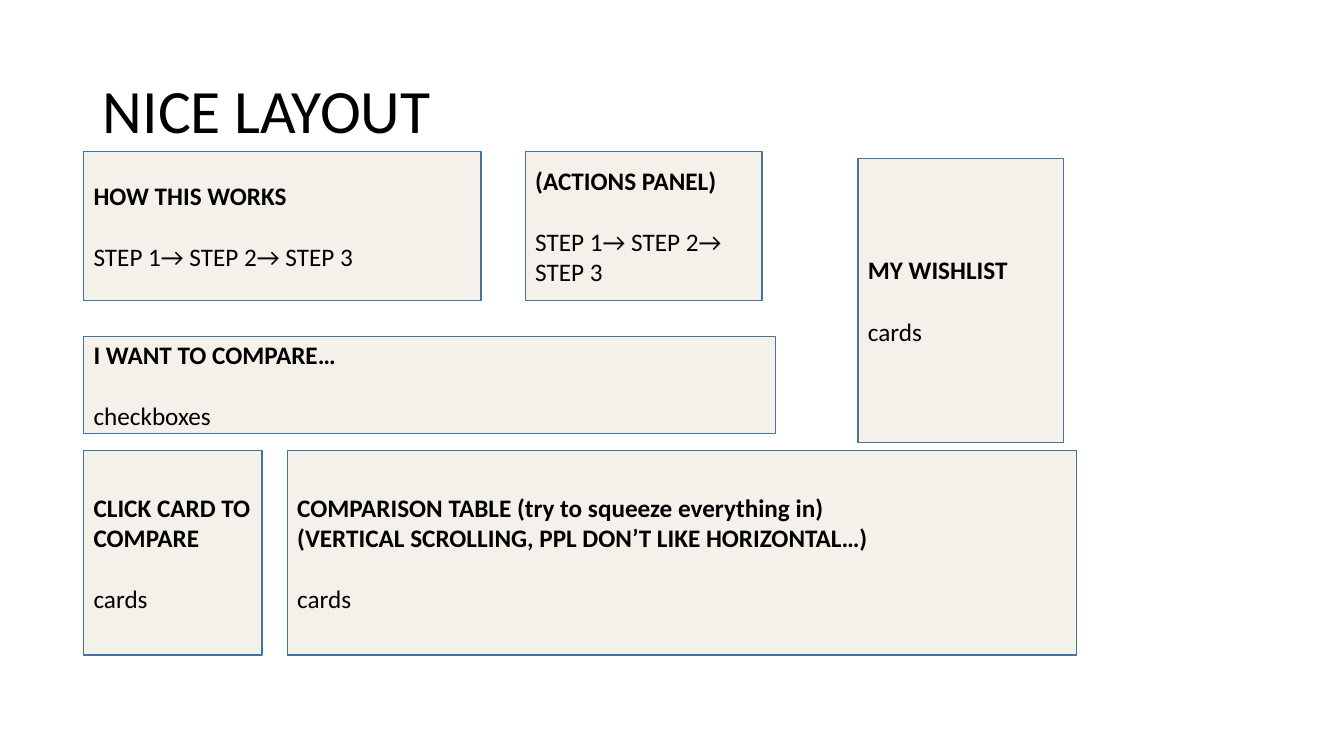
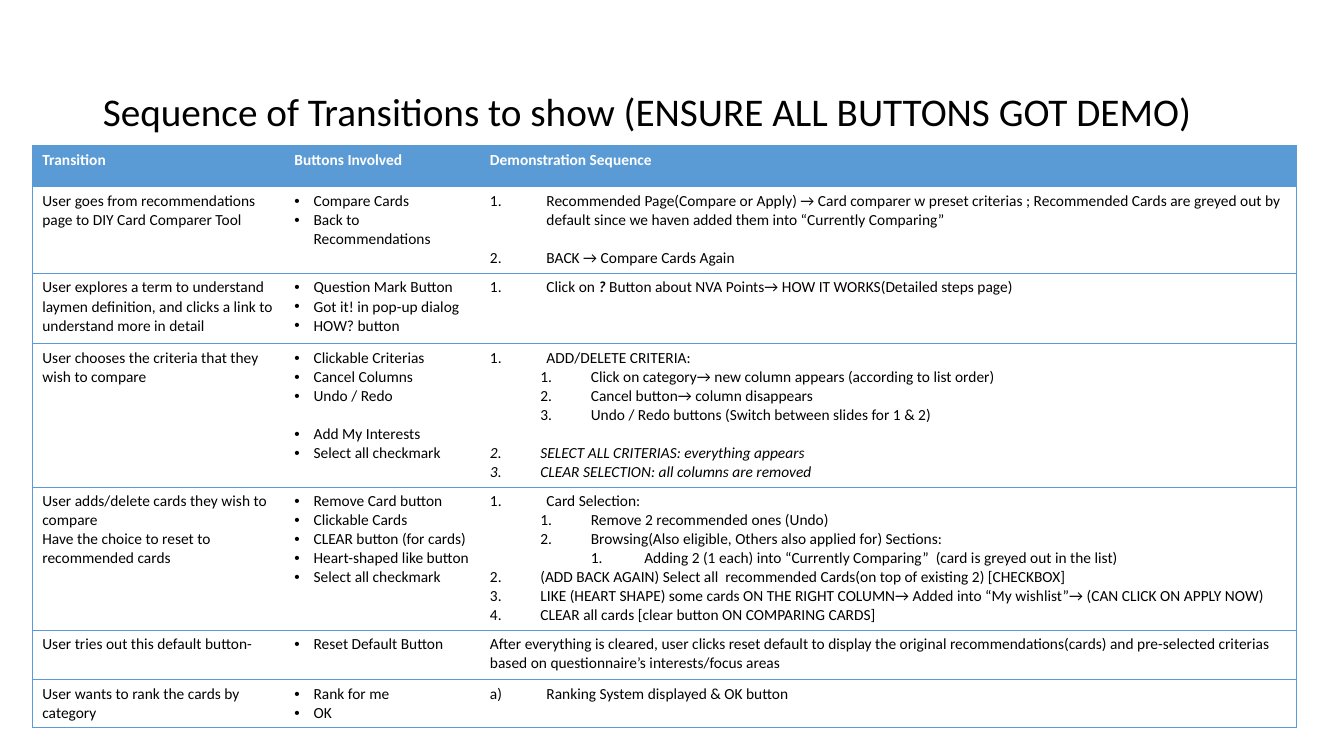
import pptx
import pptx.dml.color
import pptx.enum.shapes
import pptx.enum.text
import pptx.oxml
import pptx.oxml.ns
import pptx.util

Inches, Pt = pptx.util.Inches, pptx.util.Pt
ALIGN = pptx.enum.text.PP_ALIGN
MIDDLE = pptx.enum.text.MSO_ANCHOR.MIDDLE

FONT = "Calibri"
BLACK, WHITE = "000000", "FFFFFF"
CREAM, EDGE, BLUE = "F4F0EA", "43739E", "5B9BD5"
LINE = 1.22  # line height of the font, relative to its size

# Paragraph kinds in the table: level, left margin, hanging indent, marker
NUMBER = 'buAutoNum type="arabicPeriod"'
KINDS = {
    "plain": (0, 0, 0, None),
    "dot": (0, 0.19, 0.19, 'buChar char="•"'),
    "num": (0, 0.56, 0.56, NUMBER),
    "sub": (1, 1, 0.5, NUMBER),
    "deep": (2, 1.53, 0.53, NUMBER),
    "next": (0, 0.5, 0.5, NUMBER),
    "slant": (0, 0.5, 0.5, NUMBER),
    "letter": (0, 0.56, 0.56, 'buAutoNum type="alphaLcParenR"'),
}

# Wireframe boxes: left, top, width, height, bold lines, plain line
STEPS = "STEP 1→ STEP 2→ STEP 3"
BOXES = [
    (0.83, 1.5, 3.94, 1.48, ["HOW THIS WORKS"], STEPS),
    (5.21, 1.5, 2.35, 1.48, ["(ACTIONS PANEL)"], STEPS),
    (0.83, 3.34, 6.86, 0.96, ["I WANT TO COMPARE…"], "checkboxes"),
    (0.83, 4.47, 1.77, 2.03, ["CLICK CARD TO COMPARE"], "cards"),
    (2.85, 4.47, 7.83, 2.03,
     ["COMPARISON TABLE (try to squeeze everything in)",
      "(VERTICAL SCROLLING, PPL DON’T LIKE HORIZONTAL…)"], "cards"),
    (8.51, 1.57, 2.04, 2.82, ["MY WISHLIST"], "cards"),
]

HEADS = ["Transition", "Buttons Involved", "Demonstration Sequence"]
COLS = [2.5, 1.94, 8.1]
HEAD_H = 0.41

# Table rows: height, transition lines, buttons, sequence of (kind, text).
# A leading "^" opens a one-line gap; *stars* mark bold italic words.
ROWS = [
    (0.86, ["User goes from recommendations page to DIY Card Comparer Tool"],
     ["Compare Cards", "Back to Recommendations"],
     [("num", "Recommended Page(Compare or Apply) → Card comparer w preset "
       "criterias ; Recommended Cards are greyed out by default since we "
       "haven added them into “Currently Comparing”"),
      ("num", "^BACK → Compare Cards Again")]),
    (0.7, ["User explores a term to understand laymen definition, and clicks "
           "a link to understand more in detail"],
     ["Question Mark Button", "Got it! in pop-up dialog", "HOW? button"],
     [("num", "Click on *?* Button about NVA Points→ HOW IT WORKS"
       "(Detailed steps page)")]),
    (1.42, ["User chooses the criteria that they wish to compare"],
     ["Clickable Criterias", "Cancel Columns", "Undo / Redo",
      "^Add My Interests", "Select all checkmark"],
     [("num", "ADD/DELETE CRITERIA:"),
      ("sub", "Click on category→ new column appears (according to list order)"),
      ("sub", "Cancel button→ column disappears"),
      ("sub", "Undo / Redo buttons (Switch between slides for 1 & 2)"),
      ("slant", "^SELECT ALL CRITERIAS: everything appears"),
      ("slant", "CLEAR SELECTION: all columns are removed")]),
    (1.42, ["User adds/delete cards they wish to compare",
            "Have the choice to reset to recommended cards"],
     ["Remove Card button", "Clickable Cards", "CLEAR button (for cards)",
      "Heart-shaped like button", "Select all checkmark"],
     [("num", "Card Selection:"),
      ("sub", "Remove 2 recommended ones (Undo)"),
      ("sub", "Browsing(Also eligible, Others also applied for) Sections:"),
      ("deep", "Adding 2 (1 each) into “Currently Comparing”  (card is greyed "
       "out in the list)"),
      ("next", "(ADD BACK AGAIN) Select all  recommended Cards(on top of "
       "existing 2) [CHECKBOX]"),
      ("next", "LIKE (HEART SHAPE) some cards ON THE RIGHT COLUMN→ Added into "
       "“My wishlist”→ (CAN CLICK ON APPLY NOW)"),
      ("next", "CLEAR all cards [clear button ON COMPARING CARDS]")]),
    (0.49, ["User tries out this default button-"],
     ["Reset Default Button"],
     [("plain", "After everything is cleared, user clicks reset default to "
       "display the original recommendations(cards) and pre-selected "
       "criterias based on questionnaire’s interests/focus areas")]),
    (0.48, ["User wants to rank the cards by category"],
     ["Rank for me", "OK"],
     [("letter", "Ranking System displayed & OK button")]),
]


def rgb(code):
    return pptx.dml.color.RGBColor.from_string(code)


def style(para, size, color=BLACK, bold=False, italic=False):
    font = para.font
    font.name, font.size = FONT, Pt(size)
    font.bold, font.italic = bold, italic
    font.color.rgb = rgb(color)


def paras(frame, count):
    """Yield count paragraphs, the first being the one already there."""
    yield frame.paragraphs[0]
    for _ in range(count - 1):
        yield frame.add_paragraph()


def node(xml):
    return pptx.oxml.parse_xml(
        xml.replace(">", f" {pptx.oxml.ns.nsdecls('a')}>", 1))


def add_slide(prs, text, size):
    slide = prs.slides.add_slide(prs.slide_layouts[5])
    title = slide.shapes.title
    title.left, title.top = Inches(0.92), Inches(0.4)
    title.width, title.height = Inches(11.5), Inches(1.45)
    frame = title.text_frame
    frame.text = text
    frame.word_wrap = True
    frame.auto_size = pptx.enum.text.MSO_AUTO_SIZE.NONE
    frame.vertical_anchor = MIDDLE
    para = frame.paragraphs[0]
    para.alignment, para.line_spacing = ALIGN.LEFT, 0.9
    style(para, size)
    return slide


def add_box(slide, left, top, width, height, heads, body):
    box = slide.shapes.add_shape(
        pptx.enum.shapes.MSO_SHAPE.RECTANGLE,
        Inches(left), Inches(top), Inches(width), Inches(height))
    box.shadow.inherit = False
    box.fill.solid()
    box.fill.fore_color.rgb = rgb(CREAM)
    box.line.color.rgb = rgb(EDGE)
    box.line.width = Pt(1)
    frame = box.text_frame
    frame.word_wrap = True
    frame.vertical_anchor = MIDDLE
    texts = heads + [body]
    for i, para in enumerate(paras(frame, len(texts))):
        last = i == len(heads)
        para.text = texts[i]
        para.alignment = ALIGN.LEFT
        if last:
            para.space_before = Pt(round(18 * LINE))
        style(para, 18, bold=not last)


def mark(para, kind):
    """Give the paragraph its level, indents and marker."""
    level, left, hang, bullet = KINDS[kind]
    para.level = level
    props = para._p.get_or_add_pPr()
    props.set("marL", str(Inches(left)))
    props.set("indent", str(-Inches(hang)))
    if bullet:
        props.append(node('<a:buFont typeface="Arial"/>'.replace("/>", "></a:buFont>")
                          if kind == "dot" else '<a:buFontTx></a:buFontTx>'))
        props.append(node(f"<a:{bullet}></a:{bullet.split()[0]}>"))


def fill_cell(cell, lines, color=BLACK, bold=False):
    for (kind, text), para in zip(lines, paras(cell.text_frame, len(lines))):
        if text.startswith("^"):
            para.space_before = Pt(round(11 * LINE, 1))
        mark(para, kind)
        style(para, 11, color, bold, kind == "slant")
        for i, part in enumerate(text.lstrip("^").split("*")):
            run = para.add_run()
            run.text = part
            if i % 2:
                run.font.bold = run.font.italic = True


def rule(cell, sides):
    """Draw the named sides of the cell and clear the others."""
    props = cell._tc.get_or_add_tcPr()
    for side in "LRTB":
        ink = (f'<a:solidFill><a:srgbClr val="{BLUE}"/></a:solidFill>'
               if side in sides else "<a:noFill/>")
        props.append(node(f'<a:ln{side} w="{Pt(0.5)}">{ink}</a:ln{side}>'))


def add_grid(slide, left, top):
    heights = [HEAD_H] + [row[0] for row in ROWS]
    table = slide.shapes.add_table(
        len(heights), len(COLS), Inches(left), Inches(top),
        Inches(sum(COLS)), Inches(sum(heights))).table
    table.first_row = table.horz_banding = False
    for col, width in zip(table.columns, COLS):
        col.width = Inches(width)
    for row, height in zip(table.rows, heights):
        row.height = Inches(height)
    grid = [[[("plain", head)] for head in HEADS]]
    for _, users, buttons, steps in ROWS:
        grid.append([[("plain", text) for text in users],
                     [("dot", text) for text in buttons], steps])
    for r, line in enumerate(grid):
        for c, lines in enumerate(line):
            cell = table.cell(r, c)
            rule(cell, "TB" + ("L", "", "R")[c])
            if r == 0:
                cell.fill.solid()
                cell.fill.fore_color.rgb = rgb(BLUE)
                fill_cell(cell, lines, WHITE, True)
            else:
                cell.fill.background()
                fill_cell(cell, lines)


def main():
    prs = pptx.Presentation()
    prs.slide_width, prs.slide_height = Inches(13.33), Inches(7.5)
    slide = add_slide(prs, "NICE LAYOUT", 44)
    for box in BOXES:
        add_box(slide, *box)
    slide = add_slide(
        prs, "Sequence of Transitions to show (ENSURE ALL BUTTONS GOT DEMO)", 28)
    add_grid(slide, 0.32, 1.44)
    prs.save("out.pptx")


if __name__ == "__main__":
    main()
